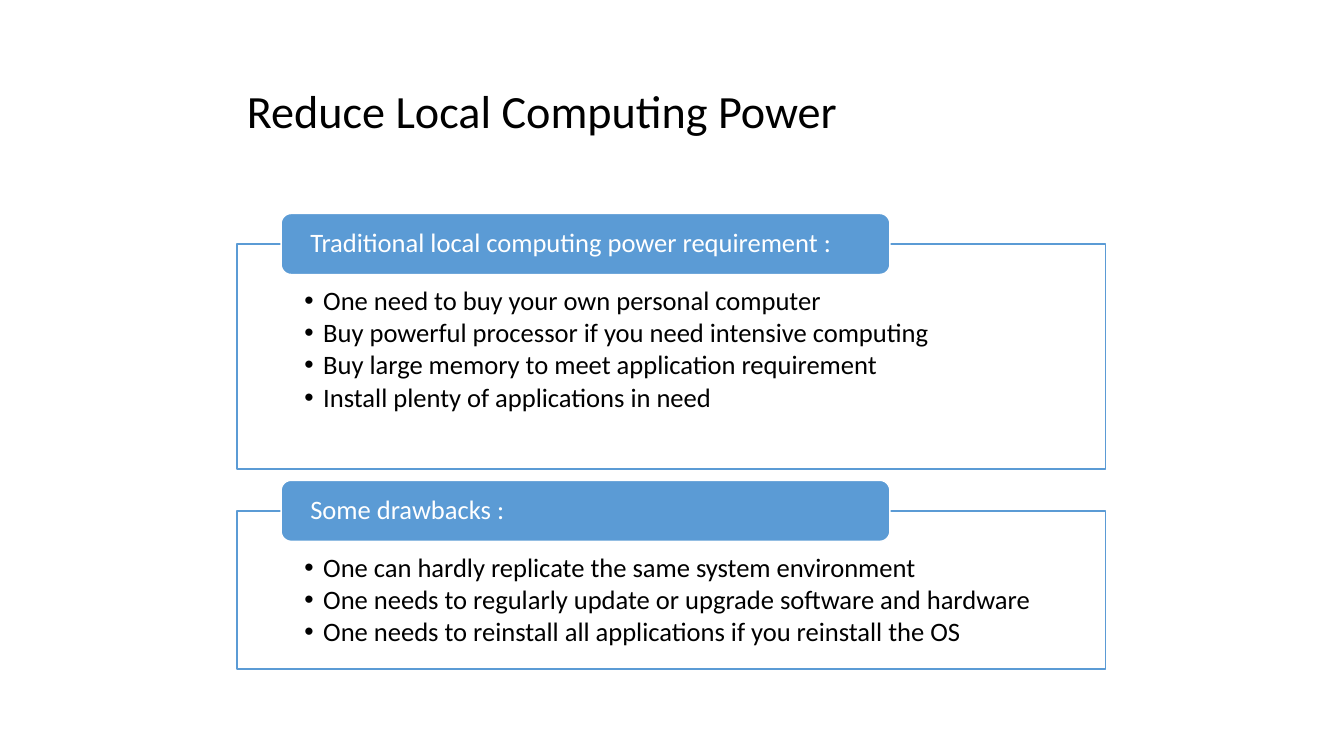
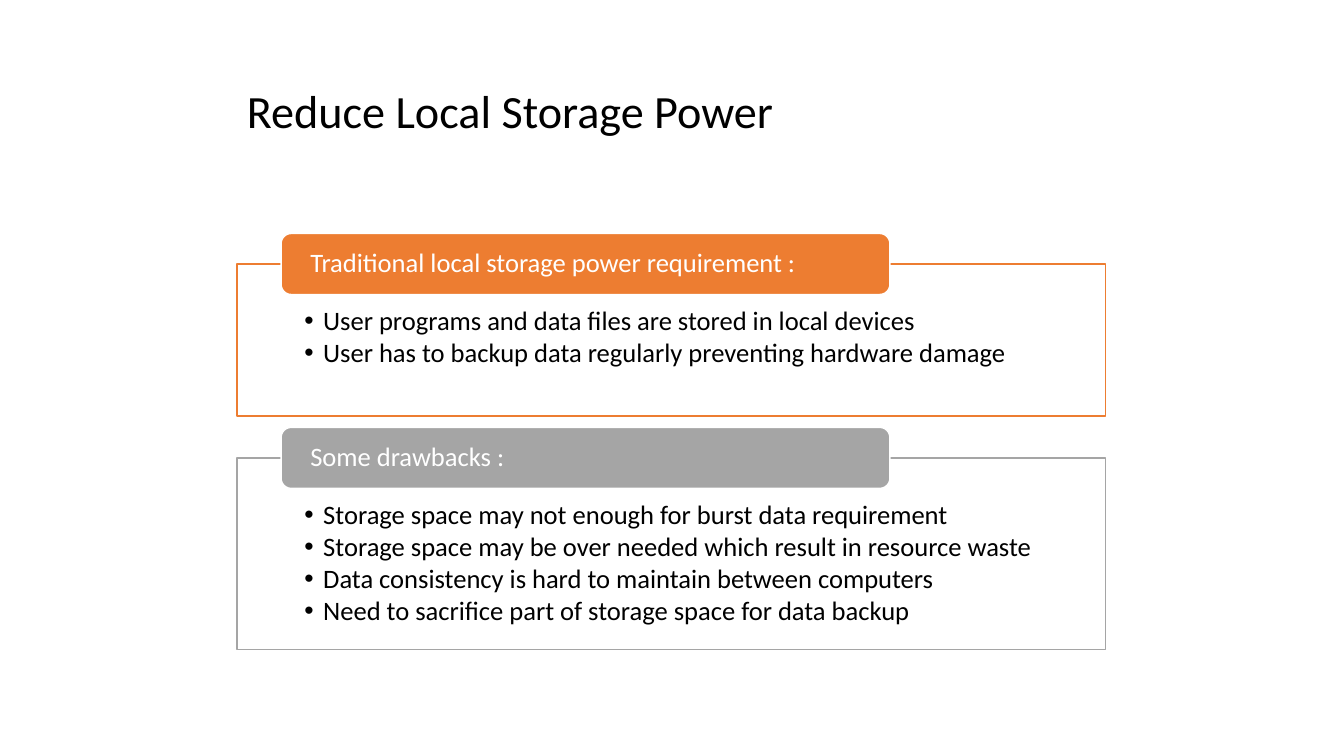
from lxml import etree
from pptx import Presentation
from pptx.dml.color import RGBColor
from pptx.enum.shapes import MSO_SHAPE
from pptx.enum.text import MSO_ANCHOR, MSO_AUTO_SIZE, PP_ALIGN
from pptx.oxml.ns import qn
from pptx.util import Pt

ROUND = MSO_SHAPE.ROUNDED_RECTANGLE
TOP, MIDDLE = MSO_ANCHOR.TOP, MSO_ANCHOR.MIDDLE
LEFT = PP_ALIGN.LEFT
FIXED = MSO_AUTO_SIZE.NONE

BLUE, ORANGE, GRAY = "5B9BD5", "ED7D31", "A5A5A5"
BLACK, WHITE = "000000", "FFFFFF"

SLIDES = [
    ("Reduce Local Computing Power", 174.3, [
        ("Traditional local computing power requirement :", BLUE, 160.6, [
            "One need to buy your own personal computer",
            "Buy powerful processor if you need intensive computing",
            "Buy large memory to meet application requirement",
            "Install plenty of applications in need",
        ]),
        ("Some drawbacks :", BLUE, 113, [
            "One can hardly replicate the same system environment",
            "One needs to regularly update or upgrade software and hardware",
            "One needs to reinstall all applications if you reinstall the OS",
        ]),
    ]),
    ("Reduce Local Storage Power", 188.6, [
        ("Traditional local storage power requirement :", ORANGE, 108.5, [
            "User programs and data files are stored in local devices",
            "User has to backup data regularly preventing hardware damage",
        ]),
        ("Some drawbacks :", GRAY, 136.8, [
            "Storage space may not enough for burst data requirement",
            "Storage space may be over needed which result in resource waste",
            "Data consistency is hard to maintain between computers",
            "Need to sacrifice part of storage space for data backup",
        ]),
    ]),
]


def color(code):
    return RGBColor.from_string(code)


class Deck:
    font = "Calibri"
    head, size = 33, 19
    left, width = 169.2, 620.6
    gap = 30
    tab_in, tab_wide, tab_high = 31.6, 434.9, 43.6

    def __init__(self):
        self.prs = Presentation()
        self.prs.slide_width, self.prs.slide_height = Pt(960), Pt(540)
        self.slide = None

    def start(self, title):
        layout = self.prs.slide_layouts.get_by_name("Two Content")
        self.slide = self.prs.slides.add_slide(layout)
        shape = self.slide.shapes.title
        self.place(shape, 28.8, 104.4)
        self.label(shape, [title], self.head, BLACK, MIDDLE)

    def place(self, shape, top, height):
        shape.left, shape.top = Pt(self.left), Pt(top)
        shape.width, shape.height = Pt(self.width), Pt(height)

    def paint(self, shape, fill, line):
        shape.fill.solid()
        shape.fill.fore_color.rgb = color(fill)
        shape.line.color.rgb = color(line)
        shape.line.width = Pt(1)

    def inset(self, shape, side, top, bottom):
        frame = shape.text_frame
        frame.margin_left = frame.margin_right = Pt(side)
        frame.margin_top, frame.margin_bottom = Pt(top), Pt(bottom)

    def label(self, shape, lines, size, ink, anchor, after=0):
        frame = shape.text_frame
        frame.word_wrap = True
        frame.auto_size = FIXED
        frame.vertical_anchor = anchor
        for i, line in enumerate(lines):
            par = frame.add_paragraph() if i else frame.paragraphs[0]
            par.alignment = LEFT
            par.line_spacing = 0.9
            par.space_before, par.space_after = Pt(0), Pt(after)
            run = par.add_run()
            run.text = line
            run.font.name, run.font.size = self.font, Pt(size)
            run.font.color.rgb = color(ink)

    def panel(self, shape, top, height, tint, items):
        self.place(shape, top, height)
        self.paint(shape, WHITE, tint)
        fill = shape.element.spPr.find(qn("a:solidFill"))
        etree.SubElement(fill[0], qn("a:alpha"), val="90000")
        self.inset(shape, 48.2, 31, 10.8)
        self.label(shape, items, self.size, BLACK, TOP, 2.5)
        for par in shape.text_frame.paragraphs:
            props = par._p.get_or_add_pPr()
            props.set("marL", str(Pt(13.5)))
            props.set("indent", str(Pt(-13.5)))

    def tab(self, text, middle, tint):
        shape = self.slide.shapes.add_shape(
            ROUND, Pt(self.left + self.tab_in), Pt(middle - self.tab_high / 2),
            Pt(self.tab_wide), Pt(self.tab_high))
        shape.shadow.inherit = False
        self.paint(shape, tint, WHITE)
        self.inset(shape, 18.7, 0, 0)
        self.label(shape, [text], self.size, WHITE, MIDDLE)

    def stack(self, top, blocks):
        bodies = list(self.slide.placeholders)[1:]
        for body, (text, tint, height, items) in zip(bodies, blocks):
            self.panel(body, top, height, tint, items)
            self.tab(text, top, tint)
            top += height + self.gap


def main():
    deck = Deck()
    for title, top, blocks in SLIDES:
        deck.start(title)
        deck.stack(top, blocks)
    deck.prs.save("out.pptx")


if __name__ == "__main__":
    main()
